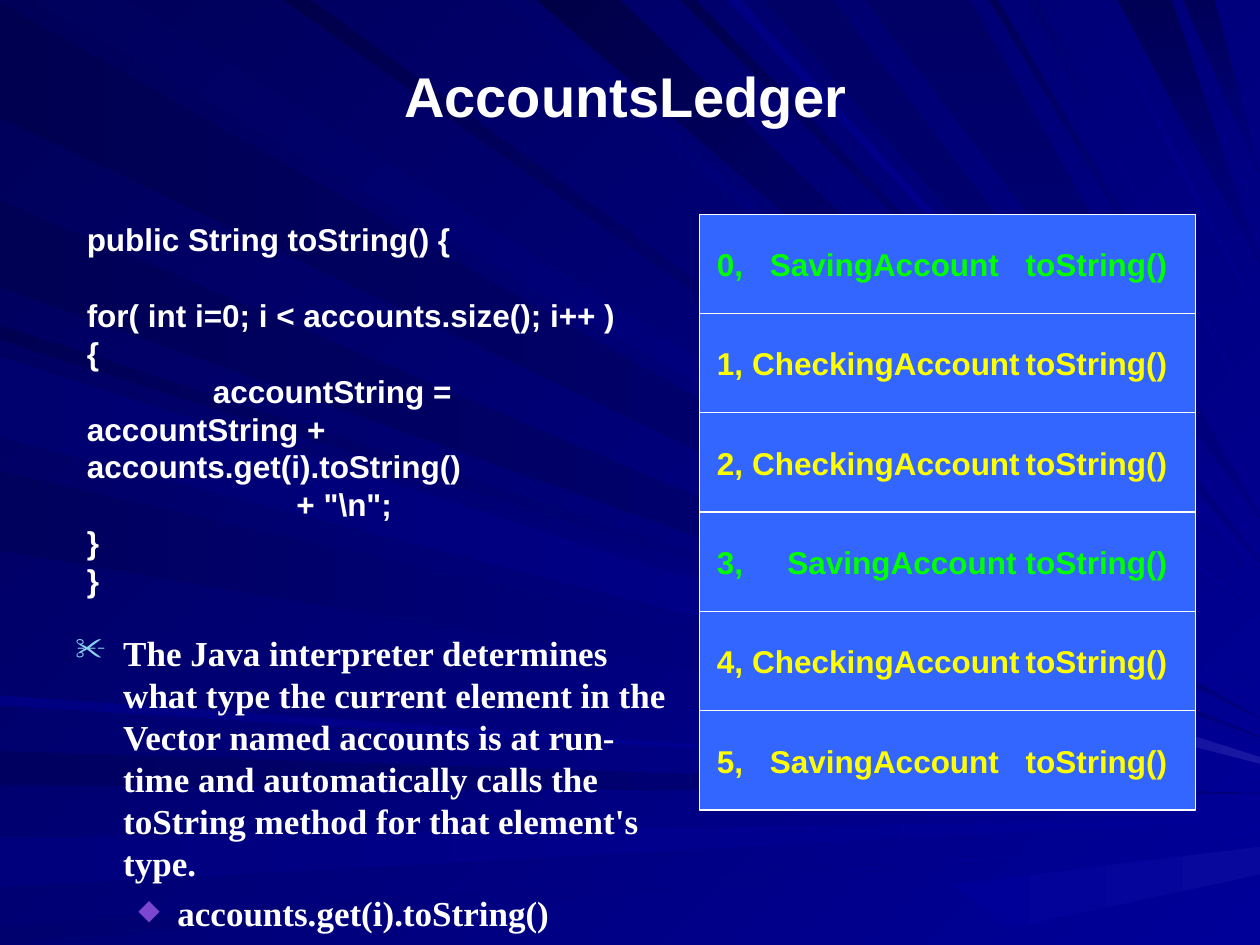
from lxml import etree
from pptx import Presentation
from pptx import util as u
from pptx.dml.color import RGBColor
from pptx.enum import shapes, text
from pptx.oxml.ns import qn

NAVY_BLUES = "47 4A 4F 51 53 55 58 59 5D 61 65 6B 6F 79 7D 80 82 99".split()
COLORS = {
    "white": "FFFFFF", "row": "3366FF", "saving": "00FF00", "checking": "FFFF00",
    "scissors": "86D1EC", "diamond": "7B46D0", "pink": "FF9999",
    "glow1": "08089C", "glow3": "1717A2",
    **{blue: f"0000{blue}" for blue in NAVY_BLUES},
}

# Edge where a ray starts, its two ends there, its height at the right edge, colours
RAYS = [
    ("left", .02, .93, 5.7, "51", "80"),
    ("top", .26, 1.01, 5.63, "5D", "99"),
    ("left", 5.96, 6.23, 6.3, "61", "80"),
    ("left", 6.65, 7.04, 6.5, "7D", "99"),
    ("left", 7.35, 7.5, 6.65, "6F", "99"),
    ("left", 2.58, 2.7, 5.88, "53", "99"),
    ("left", 1.59, 2.28, 5.85, "55", "80"),
    ("top", 3.98, 4.16, 5.18, "6B", "99"),
    ("top", 4.26, 4.92, 4.93, "47", "99"),
    ("top", 5.4, 5.52, 4.63, "4F", "99"),
    ("top", 6.06, 6.61, 4.46, "65", "80"),
    ("top", 8.87, 9.3, 2.1, "55", "80"),
    ("top", 9.39, 9.64, 1.4, "59", "80"),
    ("left", 2.78, 3.42, 6, "61", "99"),
    ("left", 3.74, 4.37, 6.05, "5D", "99"),
    ("left", 5.52, 5.6, 6.22, "82", "99"),
    ("top", 2.25, 2.47, 5.5, "4A", "99"),
    ("top", 5.77, 5.88, 4.54, "82", "99"),
    ("top", 6.86, 7.7, 4.1, "65", "80"),
    ("top", 7.85, 7.92, 3.57, "58", "99"),
    ("top", 8.15, 8.24, 3.36, "6F", "99"),
    ("top", 8.65, 8.72, 2.53, "79", "99"),
    ("left", 2.83, 3.47, 6.05, "6F", "99"),
]

# Brighter patches near the right edge
GLOWS = [
    ("99", "glow1", [(10, 6.94), (10, 6.72), (7.56, 7.02), (8, 7.37)]),
    ("99", "glow3", [(10, 6.01), (6.37, 4.85), (6.33, 5.11), (10, 6.06)]),
    ("pink", "pink", [(10, 4.63), (9.77, 4.4)]),
]

# Row colour, account type, left edge of the type in inches
ACCOUNTS = [
    ("saving", "SavingAccount", .42),
    ("checking", "CheckingAccount", .28),
    ("checking", "CheckingAccount", .28),
    ("saving", "SavingAccount", .56),
    ("checking", "CheckingAccount", .28),
    ("checking", "SavingAccount", .42),
]

# Space before in points, code line
CODE = [
    (0, "public String toString() {"),
    (21.7, "for( int i=0; i < accounts.size(); i++ ) {"),
    (0, "        \taccountString =     \taccountString + \taccounts.get(i).toString()"),
    (0, "                        + \"\\n\";"),
    (0, "}"),
    (0, "}"),
]

# Space before, left margin, hanging indent, bullet, bullet colour, bullet size, text
NOTES = [
    (0, .38, .38, "✂", "scissors", 90,
     "The Java interpreter determines what type the current element in the Vector named "
     "accounts is at run-time and automatically calls the toString method for that "
     "element's type."),
    (5, .81, .31, "◆", "diamond", 80, "accounts.get(i).toString()"),
]


def rgb(name):
    return RGBColor.from_string(COLORS[name])


def set_gradient(fill, first, last, clockwise):
    fill.gradient()
    fill.gradient_angle = -clockwise % 360
    for stop, name in zip(fill.gradient_stops, (first, last)):
        stop.color.rgb = rgb(name)


def add_tabs(paragraph, stops):
    tab_list = etree.SubElement(paragraph._p.get_or_add_pPr(), qn("a:tabLst"))
    for stop in stops:
        etree.SubElement(tab_list, qn("a:tab"), pos=str(u.Inches(stop)), algn="l")


def add_bullet(paragraph, left, hanging, symbol, color, percent):
    props = paragraph._p.get_or_add_pPr()
    props.set("marL", str(u.Inches(left)))
    props.set("indent", str(-u.Inches(hanging)))
    bullet_color = etree.SubElement(props, qn("a:buClr"))
    etree.SubElement(bullet_color, qn("a:srgbClr"), val=COLORS[color])
    etree.SubElement(props, qn("a:buSzPct"), val=str(percent * 1000))
    etree.SubElement(props, qn("a:buChar"), char=symbol)


def add_run(paragraph, words, size, color="white", font="Arial"):
    run = paragraph.add_run()
    run.text = words
    run.font.name, run.font.size, run.font.bold = font, u.Pt(size), True
    run.font.color.rgb = rgb(color)


def next_paragraph(frame, index, space_before=0):
    paragraph = frame.add_paragraph() if index else frame.paragraphs[0]
    if space_before:
        paragraph.space_before = u.Pt(space_before)
    return paragraph


def add_beam(slide, left, top, corners, first, last, clockwise):
    points = [(left + u.Inches(x), top + u.Inches(y)) for x, y in corners]
    builder = slide.shapes.build_freeform(*points[0])
    builder.add_line_segments(points[1:], close=True)
    beam = builder.convert_to_shape()
    beam.shadow.inherit = False
    beam.line.fill.background()
    set_gradient(beam.fill, first, last, clockwise)


def draw_background(slide, left, top):
    set_gradient(slide.background.fill, "58", "99", 45)
    for edge, start, end, far, first, last in RAYS:
        if edge == "top":
            corners = [(start, 0), (end, 0), (10, far)]
            clockwise = 90 if last == "80" else 45
        else:
            corners = [(0, start), (0, end), (10, far)]
            clockwise = 0
        add_beam(slide, left, top, corners, first, last, clockwise)
    for first, last, corners in GLOWS:
        add_beam(slide, left, top, corners, first, last, 0)


def draw_title(slide, left, top, width, height):
    frame = slide.shapes.add_textbox(left, top, width, height).text_frame
    frame.word_wrap = False
    add_run(frame.paragraphs[0], "AccountsLedger", 32)


def draw_ledger(slide, left, top, width, height):
    row_height = height / len(ACCOUNTS)
    for index, (color, account, account_left) in enumerate(ACCOUNTS):
        row = slide.shapes.add_shape(
            shapes.MSO_SHAPE.FLOWCHART_PROCESS,
            left, round(top + index * row_height), width, round(row_height))
        row.shadow.inherit = False
        row.fill.solid()
        row.fill.fore_color.rgb = rgb("row")
        row.line.color.rgb = rgb("white")
        row.line.width = u.Pt(.75)
        frame = row.text_frame
        frame.word_wrap = True
        frame.margin_left, frame.margin_right = u.Inches(.14), 0
        frame.vertical_anchor = text.MSO_ANCHOR.MIDDLE
        paragraph = frame.paragraphs[0]
        paragraph.alignment = text.PP_ALIGN.LEFT
        add_tabs(paragraph, [account_left, 2.45])
        add_run(paragraph, f"{index},\t{account}\ttoString()", 18, color)


def draw_code(slide, left, top, width, height):
    frame = slide.shapes.add_textbox(left, top, width, height).text_frame
    frame.word_wrap = True
    for index, (space_before, line) in enumerate(CODE):
        paragraph = next_paragraph(frame, index, space_before)
        add_tabs(paragraph, range(8))
        add_run(paragraph, line, 18)


def draw_notes(slide, left, top, width, height):
    frame = slide.shapes.add_textbox(left, top, width, height).text_frame
    frame.word_wrap = True
    for index, (space_before, *bullet, words) in enumerate(NOTES):
        paragraph = next_paragraph(frame, index, space_before)
        add_bullet(paragraph, *bullet)
        add_run(paragraph, words, 20, font="Times New Roman")


def main():
    deck = Presentation()
    deck.slide_width, deck.slide_height = u.Inches(10), u.Inches(7.5)
    slide = deck.slides.add_slide(deck.slide_layouts[6])
    draw_background(slide, 0, 0)
    draw_title(slide, u.Inches(3.11), u.Inches(.44), u.Inches(3.71), u.Inches(.64))
    draw_ledger(slide, u.Inches(5.55), u.Inches(1.7), u.Inches(3.94), u.Inches(4.73))
    draw_code(slide, u.Inches(.59), u.Inches(1.7), u.Inches(4.41), u.Inches(3.1))
    draw_notes(slide, u.Inches(.5), u.Inches(4.96), u.Inches(5), u.Inches(2.54))
    deck.save("out.pptx")


if __name__ == "__main__":
    main()
